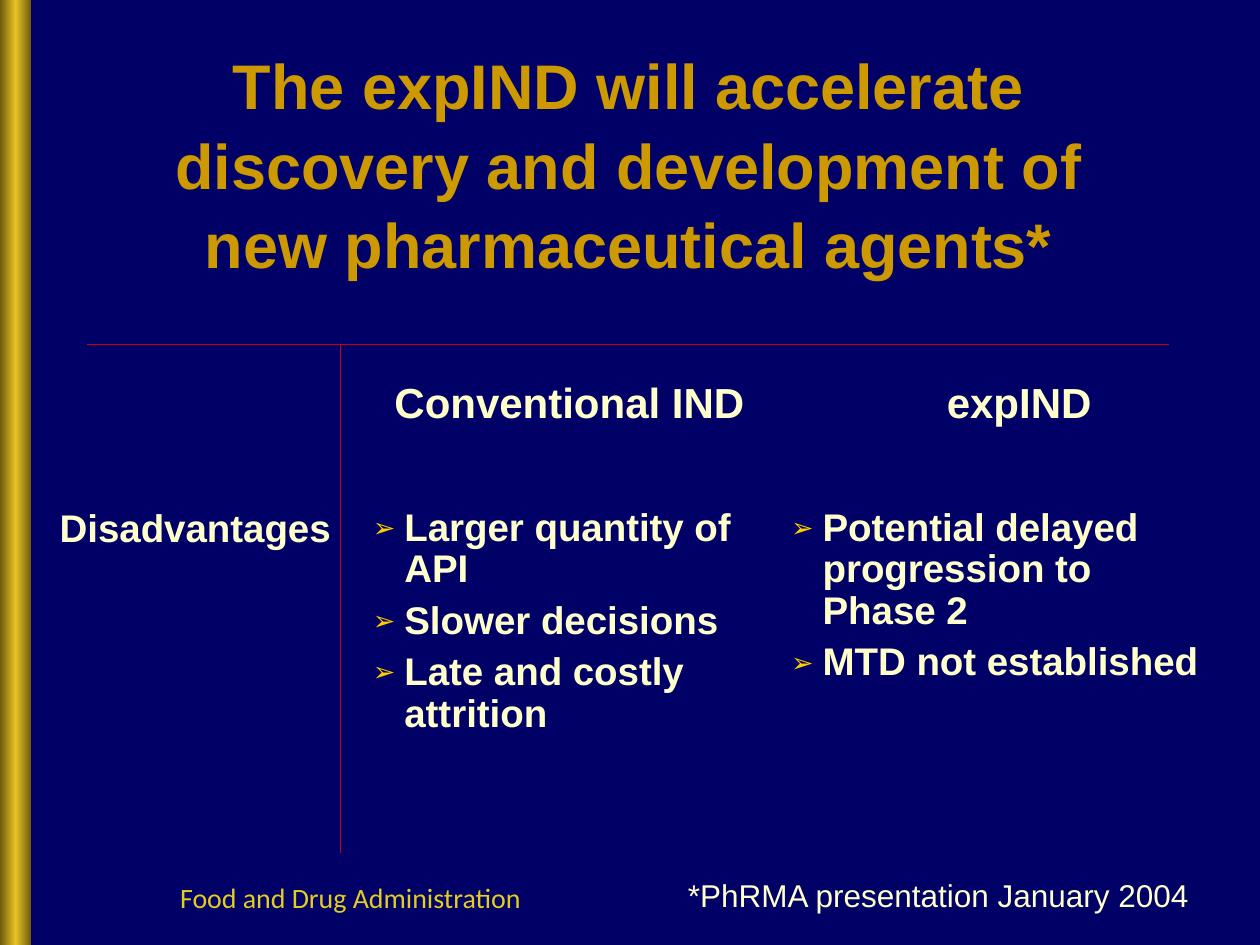
from copy import deepcopy

from lxml.etree import SubElement
from pptx import Presentation
from pptx.dml.color import RGBColor
from pptx.enum.shapes import MSO_CONNECTOR, MSO_SHAPE
from pptx.enum.text import MSO_ANCHOR, MSO_AUTO_SIZE, PP_ALIGN
from pptx.oxml.ns import qn
from pptx.util import Pt

NAVY = RGBColor(0x00, 0x00, 0x66)
DARK_GOLD = RGBColor(0x6B, 0x59, 0x0F)
BRIGHT_GOLD = RGBColor(0xE9, 0xC3, 0x21)
FOOTER_GOLD = RGBColor(0xE4, 0xCD, 0x22)
TITLE_GOLD = RGBColor(0xCC, 0x99, 0x00)
BULLET_YELLOW = RGBColor(0xFF, 0xCC, 0x00)
CREAM = RGBColor(0xFF, 0xFF, 0xCC)
RED = RGBColor(0xCC, 0x00, 0x00)

WIDTH, HEIGHT = 720, 540
NO_TABLE_STYLE = "{2D5ABB26-0587-4C30-8999-92F81FD0307C}"

COLUMN_WIDTHS = (188.6, 239, 275)
ROW_HEIGHTS = (36.7, 36, 150.5)
HEADINGS = ("", "Conventional IND", "expIND")
DISADVANTAGES = (
    ("Larger quantity of API", "Slower decisions", "Late and costly attrition"),
    ("Potential delayed progression to\vPhase 2", "MTD not established"),
)


def add_bullet(paragraph):
    """Give the paragraph a hanging arrow bullet."""
    properties = paragraph._p.get_or_add_pPr()
    properties.set("marL", str(Pt(18)))
    properties.set("indent", str(-Pt(18)))
    color = SubElement(properties, qn("a:buClr"))
    SubElement(color, qn("a:srgbClr"), val=str(BULLET_YELLOW))
    SubElement(properties, qn("a:buSzPct"), val="70000")
    SubElement(properties, qn("a:buFont"), typeface="Arial")
    SubElement(properties, qn("a:buChar"), char="➢")


def write(frame, *texts, size, color=CREAM, font="Arial", bold=False,
          align=PP_ALIGN.LEFT, spacing=None, before=0, bullets=False):
    """Write each text as one paragraph of the frame."""
    for index, text in enumerate(texts):
        paragraph = frame.add_paragraph() if index else frame.paragraphs[0]
        paragraph.text = text
        if bullets:
            add_bullet(paragraph)
        paragraph.alignment = align
        paragraph.line_spacing = spacing
        paragraph.space_before = Pt(before if index else 0)
        for run in paragraph.runs:
            run.font.name = font
            run.font.size = Pt(size)
            run.font.bold = bold
            run.font.color.rgb = color


class SlideBuilder:
    def __init__(self, slide):
        self.slide = slide
        self.shapes = slide.shapes
        slide.background.fill.solid()
        slide.background.fill.fore_color.rgb = NAVY

    def gold_bar(self, width):
        bar = self.shapes.add_shape(MSO_SHAPE.RECTANGLE, 0, 0, Pt(width), Pt(HEIGHT))
        bar.shadow.inherit = False
        bar.line.fill.background()
        bar.fill.gradient()
        bar.fill.gradient_angle = 0
        stop_list = bar.fill._fill._gradFill.gsLst
        stop_list.insert(1, deepcopy(stop_list[0]))
        colors = (DARK_GOLD, BRIGHT_GOLD, DARK_GOLD)
        for stop, color, position in zip(bar.fill.gradient_stops, colors, (0, 0.5, 1)):
            stop.color.rgb = color
            stop.position = position

    def title(self, text, left, top, width, height):
        title = self.shapes.title
        title.left, title.top = Pt(left), Pt(top)
        title.width, title.height = Pt(width), Pt(height)
        frame = title.text_frame
        frame.word_wrap = True
        frame.auto_size = MSO_AUTO_SIZE.NONE
        frame.vertical_anchor = MSO_ANCHOR.TOP
        write(frame, text, size=36, color=TITLE_GOLD, bold=True,
              align=PP_ALIGN.CENTER, spacing=1.05)

    def text(self, text, left, top, width, height, anchor=MSO_ANCHOR.TOP, **style):
        box = self.shapes.add_textbox(Pt(left), Pt(top), Pt(width), Pt(height))
        box.text_frame.word_wrap = True
        box.text_frame.vertical_anchor = anchor
        write(box.text_frame, text, **style)

    def rule(self, x1, y1, x2, y2):
        rule = self.shapes.add_connector(
            MSO_CONNECTOR.STRAIGHT, Pt(x1), Pt(y1), Pt(x2), Pt(y2))
        rule.line.color.rgb = RED
        rule.line.width = Pt(0.75)
        SubElement(rule._element.spPr, qn("a:effectLst"))

    def comparison_table(self, left, top):
        table = self.shapes.add_table(
            len(ROW_HEIGHTS), len(COLUMN_WIDTHS), Pt(left), Pt(top),
            Pt(sum(COLUMN_WIDTHS)), Pt(sum(ROW_HEIGHTS))).table
        table.first_row = table.horz_banding = False
        table._tbl.tblPr.find(qn("a:tableStyleId")).text = NO_TABLE_STYLE
        for column, width in zip(table.columns, COLUMN_WIDTHS):
            column.width = Pt(width)
        for row, height in zip(table.rows, ROW_HEIGHTS):
            row.height = Pt(height)
        for cell in table.iter_cells():
            cell.fill.background()

        for column, heading in enumerate(HEADINGS):
            if heading:
                write(table.cell(0, column).text_frame, heading, size=24, bold=True,
                      align=PP_ALIGN.CENTER)
        write(table.cell(2, 0).text_frame, "Disadvantages", size=22, bold=True,
              align=PP_ALIGN.CENTER)
        for column, points in enumerate(DISADVANTAGES, start=1):
            write(table.cell(2, column).text_frame, *points, size=22, bold=True,
                  spacing=0.97, before=5.5, bullets=True)


def main():
    presentation = Presentation()
    presentation.slide_width, presentation.slide_height = Pt(WIDTH), Pt(HEIGHT)
    builder = SlideBuilder(presentation.slides.add_slide(presentation.slide_layouts[5]))

    builder.gold_bar(18)
    builder.text("Food and Drug Administration", 95.8, 489.6, 228, 46,
                 anchor=MSO_ANCHOR.MIDDLE, size=16, font="Calibri", color=FOOTER_GOLD)
    builder.title("The expIND will accelerate discovery and development of "
                  "new pharmaceutical agents*", 61.2, 21, 596, 137)
    builder.rule(49.7, 197, 668, 197)
    builder.comparison_table(17.3, 213.8)
    builder.rule(194.4, 487.4, 194.4, 197)
    builder.text("*PhRMA presentation January 2004", 386, 496.8, 334, 29, size=18)

    presentation.save("out.pptx")


if __name__ == "__main__":
    main()
